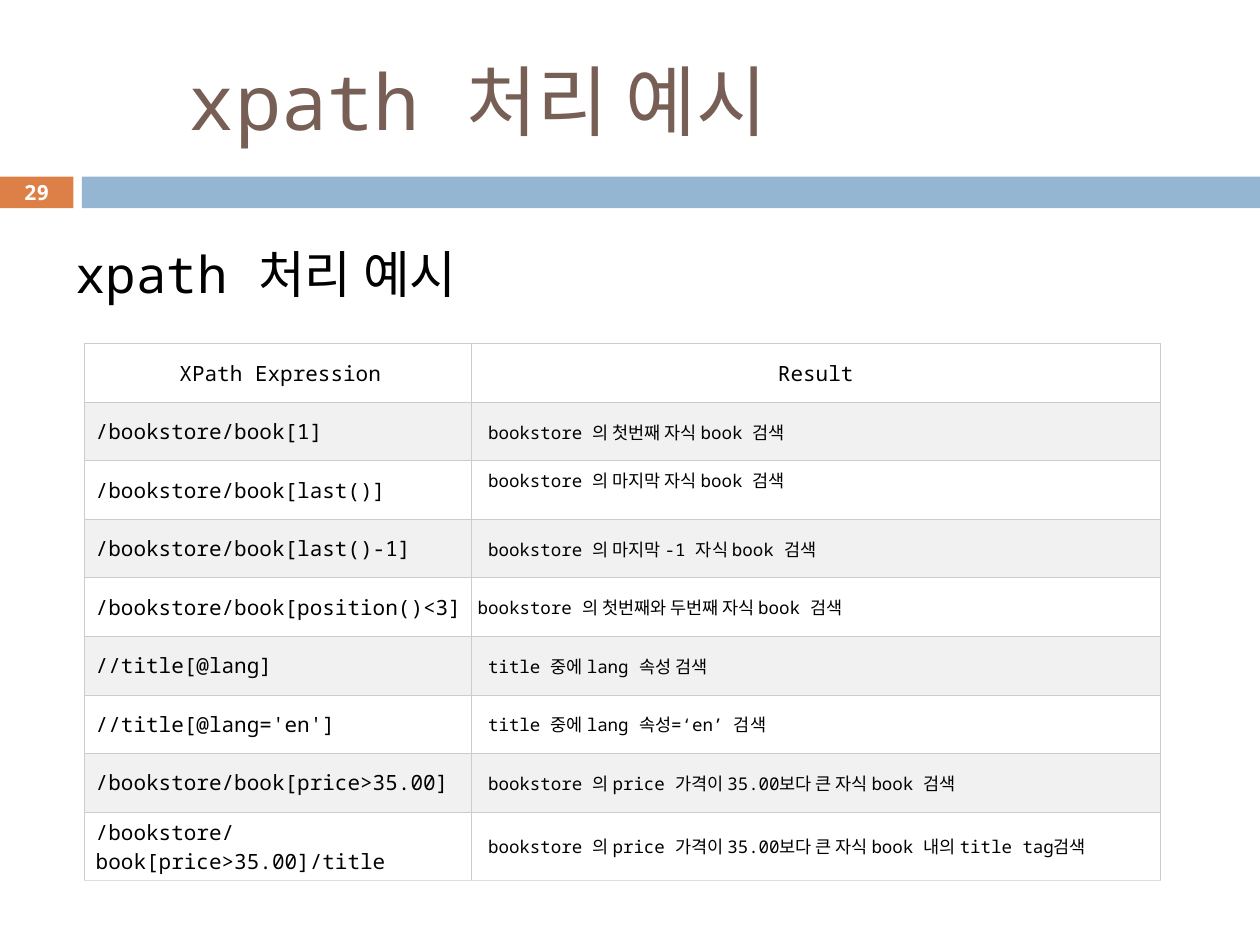
"""Build the slide listing XPath expressions and their results in a table."""
from lxml import etree
from pptx import Presentation
from pptx.dml.color import RGBColor
from pptx.enum.shapes import MSO_SHAPE
from pptx.enum.text import MSO_ANCHOR, PP_ALIGN
from pptx.oxml.ns import qn
from pptx.util import Cm, Pt

RECTANGLE = MSO_SHAPE.RECTANGLE
TOP, MIDDLE = MSO_ANCHOR.TOP, MSO_ANCHOR.MIDDLE
LEFT, CENTER = PP_ALIGN.LEFT, PP_ALIGN.CENTER

COLORS = {
    "orange": "DD8047", "blue": "94B6D2", "brown": "775F55", "black": "000000",
    "white": "FFFFFF", "stripe": "F1F1F1", "border": "CCCCCC", "last": "DDDDDD",
}
FONT = "Noto Sans Mono"

BARS = [("orange", 0, 1.48), ("blue", 1.65, 23.75)]
BAR_TOP, BAR_HEIGHT = 3.56, 0.64

TEXTS = [
    ("xpath 처리 예시", (1.7, 0.64, 22.66, 2.74), 2.11, MIDDLE, LEFT,
     {"size": Pt(44), "bold": False}, "brown"),
    ("xpath 처리 예시", (1.27, 4.52, 22.86, 2.39), 0.25, TOP, LEFT,
     {"size": Pt(29), "bold": False}, "black"),
    ("29", (0, 3.53, 1.48, 0.69), 0, MIDDLE, CENTER,
     {"size": Pt(11.9), "bold": True}, "white"),
]

HEADER = ("XPath Expression", "Result")
EXAMPLES = [
    ("/bookstore/book[1]", "bookstore 의 첫번째 자식 book 검색"),
    ("/bookstore/book[last()]", "bookstore 의 마지막 자식 book 검색"),
    ("/bookstore/book[last()-1]", "bookstore 의 마지막 -1 자식 book 검색"),
    ("/bookstore/book[position()<3]", "bookstore 의 첫번째와 두번째 자식 book 검색"),
    ("//title[@lang]", "title 중에 lang 속성 검색"),
    ("//title[@lang='en']", "title 중에 lang 속성=‘en’ 검색"),
    ("/bookstore/book[price>35.00]",
     "bookstore 의 price 가격이 35.00보다 큰 자식 book 검색"),
    ("/bookstore/book[price>35.00]/title",
     "bookstore 의 price 가격이 35.00보다 큰 자식 book 내의 title tag검색"),
]
ROWS = [HEADER] + EXAMPLES
TABLE_LEFT, TABLE_TOP = 1.7, 6.93
COLUMN_WIDTHS = [7.8, 13.89]
ROW_HEIGHTS = [1.18] * len(EXAMPLES) + [1.38]
CELL_MARGIN, EXPRESSION_MARGIN, RESULT_MARGIN = 0.13, 0.23, 0.34
FLUSH_ROW, TOP_ROW = 4, 2


def rgb(name):
    return RGBColor.from_string(COLORS[name])


def set_attributes(target, values):
    for name, value in values.items():
        setattr(target, name, value)


def write(frame, text, alignment, font_values, color):
    paragraph = frame.paragraphs[0]
    paragraph.alignment = alignment
    run = paragraph.add_run()
    run.text = text
    set_attributes(run.font, {"name": FONT, **font_values})
    run.font.color.rgb = rgb(color)
    return paragraph


def add_bar(slide, color, left, width):
    bar = slide.shapes.add_shape(
        RECTANGLE, Cm(left), Cm(BAR_TOP), Cm(width), Cm(BAR_HEIGHT))
    bar.shadow.inherit = False
    bar.fill.solid()
    bar.fill.fore_color.rgb = rgb(color)
    bar.line.fill.background()


def add_text(slide, text, place, margin, anchor, alignment, font_values, color):
    frame = slide.shapes.add_textbox(*map(Cm, place)).text_frame
    set_attributes(frame, {
        "word_wrap": True, "vertical_anchor": anchor, "margin_left": Cm(margin),
        "margin_right": Cm(min(margin, 0.25)), "margin_top": Cm(CELL_MARGIN),
        "margin_bottom": Cm(CELL_MARGIN)})
    paragraph = write(frame, text, alignment, font_values, color)
    if anchor == TOP:
        paragraph.line_spacing = 1.2


def set_borders(cell, bottom):
    properties = cell._tc.get_or_add_tcPr()
    sides = [("lnL", "border"), ("lnR", "border"), ("lnT", "border"), ("lnB", bottom)]
    for position, (side, color) in enumerate(sides):
        line = etree.Element(qn(f"a:{side}"), w=str(Pt(0.6)))
        fill = etree.SubElement(line, qn("a:solidFill"))
        etree.SubElement(fill, qn("a:srgbClr"), val=COLORS[color])
        properties.insert(position, line)


def fill_cell(cell, text, row, column):
    is_result = row > 0 and column == 1
    margin = EXPRESSION_MARGIN if column == 0 else CELL_MARGIN
    if is_result and row != FLUSH_ROW:
        margin = RESULT_MARGIN
    set_attributes(cell, {
        "vertical_anchor": TOP if is_result and row == TOP_ROW else MIDDLE,
        "margin_left": Cm(margin), "margin_right": Cm(CELL_MARGIN),
        "margin_top": Cm(CELL_MARGIN), "margin_bottom": Cm(CELL_MARGIN)})
    cell.fill.solid()
    cell.fill.fore_color.rgb = rgb("stripe" if row % 2 else "white")
    set_borders(cell, "last" if row == len(EXAMPLES) else "border")
    write(cell.text_frame, text, LEFT if row else CENTER,
          {"size": Pt(10 if is_result else 12), "bold": False}, "black")


def add_example_table(slide):
    table = slide.shapes.add_table(
        len(ROWS), len(HEADER), Cm(TABLE_LEFT), Cm(TABLE_TOP),
        Cm(sum(COLUMN_WIDTHS)), Cm(sum(ROW_HEIGHTS))).table
    set_attributes(table, {"first_row": False, "horz_banding": False})
    for column, width in zip(table.columns, COLUMN_WIDTHS):
        column.width = Cm(width)
    for row, height in zip(table.rows, ROW_HEIGHTS):
        row.height = Cm(height)
    for row, texts in enumerate(ROWS):
        for column, text in enumerate(texts):
            fill_cell(table.cell(row, column), text, row, column)


def main():
    presentation = Presentation()
    set_attributes(presentation, {"slide_width": Cm(25.4), "slide_height": Cm(19.05)})
    slide = presentation.slides.add_slide(presentation.slide_layouts[6])
    for bar in BARS:
        add_bar(slide, *bar)
    for text in TEXTS:
        add_text(slide, *text)
    add_example_table(slide)
    presentation.save("out.pptx")


if __name__ == "__main__":
    main()
